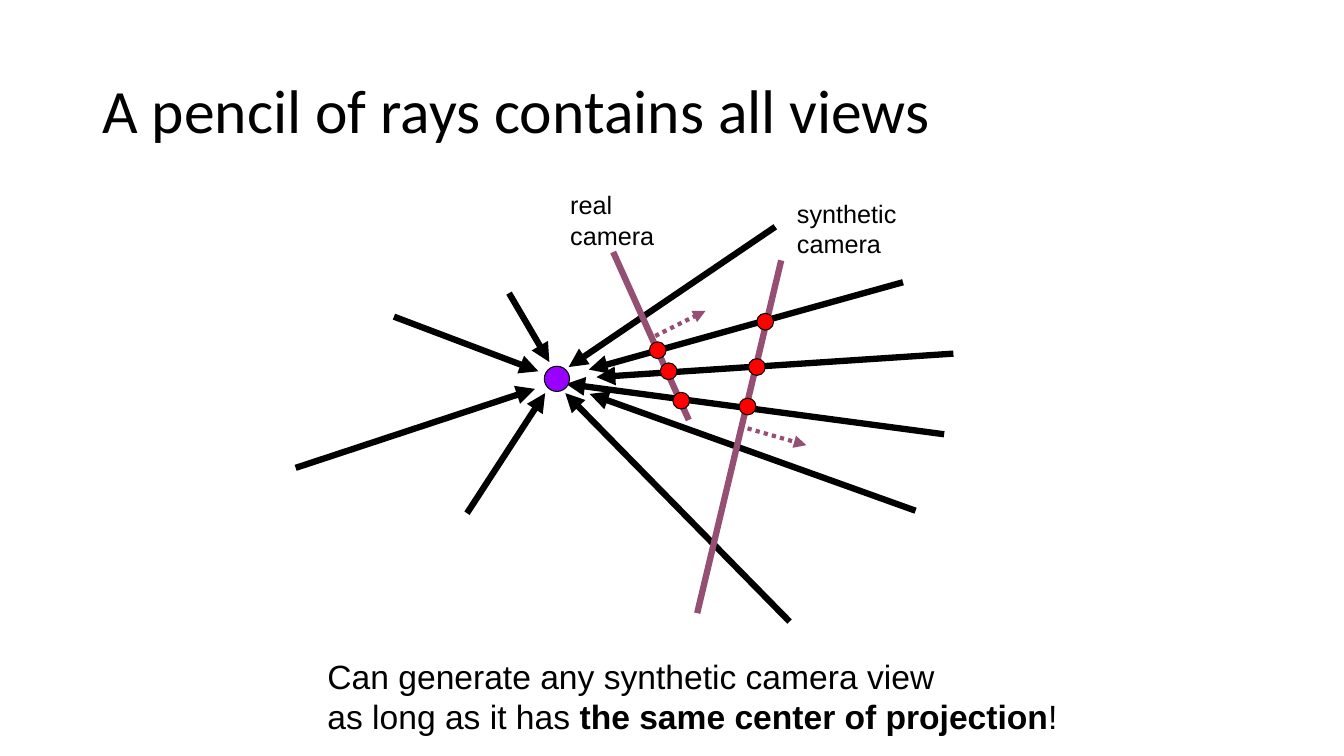
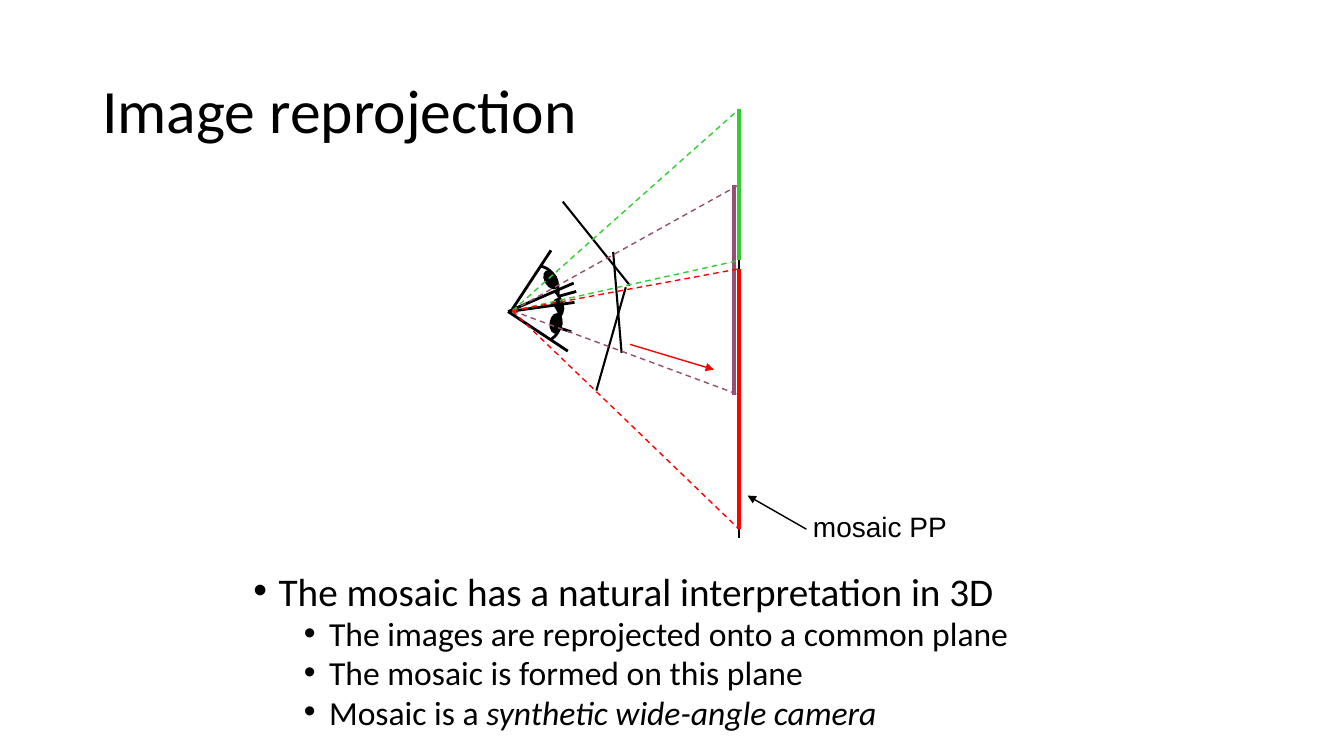
from dataclasses import dataclass

from lxml import etree
from pptx import Presentation
from pptx.dml.color import RGBColor
from pptx.enum.dml import MSO_LINE
from pptx.enum.shapes import MSO_CONNECTOR, MSO_SHAPE
from pptx.enum.text import MSO_ANCHOR
from pptx.oxml.ns import qn
from pptx.util import Emu, Inches, Pt

STRAIGHT = MSO_CONNECTOR.STRAIGHT
ELLIPSE = MSO_SHAPE.OVAL
DASH = MSO_LINE.DASH
DOTS = MSO_LINE.ROUND_DOT
MIDDLE = MSO_ANCHOR.MIDDLE
TOP = MSO_ANCHOR.TOP

COLORS = {
    "ink": "000000",
    "paper": "FFFFFF",
    "center": "9900FF",
    "camera": "954F72",
    "red": "FF0000",
    "green": "33CC33",
}
HEADING_FONT = "Calibri"
LABEL_FONT = "Arial"
COLUMNS, ROWS = 160, 90
CELL = Inches(1) / 12


@dataclass
class Box:
    """An area of the slide grid; all values are columns and rows."""
    left: float
    top: float
    width: float
    height: float

    def at(self, point):
        """Turn a column and row of this box into a place on the slide."""
        column, row = point
        return (Emu(round((self.left + column) * CELL)),
                Emu(round((self.top + row) * CELL)))

    def inner(self, left, top, width, height):
        return Box(self.left + left, self.top + top, width, height)

    def frame(self):
        return (*self.at((0, 0)), Emu(round(self.width * CELL)),
                Emu(round(self.height * CELL)))


TITLE_BOX = Box(11, 4.8, 138, 17.4)
PENCIL_BOX = Box(35, 20, 80, 56)
CAPTION_BOX = Box(37.8, 77.5, 94, 10.9)
MOSAIC_BOX = Box(60, 12, 56, 54)
BULLETS_BOX = Box(29, 68, 102, 20)


def rgb(name):
    return RGBColor.from_string(COLORS[name])


def add_text(slide, box, paragraphs, size, font=LABEL_FONT, anchor=TOP,
             line_spacing=None):
    """Each paragraph is a string or a list of (text, format dict) runs."""
    frame = slide.shapes.add_textbox(*box.frame()).text_frame
    frame.word_wrap = True
    frame.vertical_anchor = anchor
    for index, content in enumerate(paragraphs):
        paragraph = frame.paragraphs[0] if index == 0 else frame.add_paragraph()
        if line_spacing:
            paragraph.line_spacing = line_spacing
        runs = [(content, {})] if isinstance(content, str) else content
        for text, style in runs:
            run = paragraph.add_run()
            run.text = text
            run.font.name = font
            run.font.size = Pt(size)
            run.font.color.rgb = rgb("ink")
            run.font.bold = style.get("bold")
            run.font.italic = style.get("italic")
    return frame


def add_bullet(paragraph, margin):
    properties = paragraph._p.get_or_add_pPr()
    properties.set("marL", str(Inches(margin)))
    properties.set("indent", str(-Inches(0.25)))
    etree.SubElement(properties, qn("a:buFont")).set("typeface", LABEL_FONT)
    etree.SubElement(properties, qn("a:buChar")).set("char", "•")


def add_line(slide, box, start, end, width, color="ink", dash=None, arrow=False):
    line = slide.shapes.add_connector(STRAIGHT, *box.at(start), *box.at(end))
    line.line.color.rgb = rgb(color)
    line.line.width = Pt(width)
    if dash:
        line.line.dash_style = dash
    if arrow:
        outline = line.line._get_or_add_ln()
        etree.SubElement(outline, qn("a:tailEnd")).set("type", "triangle")
    etree.SubElement(line._element.spPr, qn("a:effectLst"))


def add_ellipse(slide, box, center, size, color, line_width=0.75, rotation=0):
    column, row = center
    width, height = size
    spot = box.inner(column - width / 2, row - height / 2, width, height)
    ellipse = slide.shapes.add_shape(ELLIPSE, *spot.frame())
    ellipse.shadow.inherit = False
    ellipse.fill.solid()
    ellipse.fill.fore_color.rgb = rgb(color)
    ellipse.line.color.rgb = rgb("ink")
    ellipse.line.width = Pt(line_width)
    ellipse.rotation = rotation


def add_outline(slide, box, points, close):
    """A closed outline is filled white; an open one is a black stroke."""
    start, *rest = [box.at(point) for point in points]
    builder = slide.shapes.build_freeform(*start)
    builder.add_line_segments(rest, close=close)
    outline = builder.convert_to_shape()
    outline.shadow.inherit = False
    if close:
        outline.fill.solid()
        outline.fill.fore_color.rgb = rgb("paper")
        outline.line.fill.background()
    else:
        outline.fill.background()
        outline.line.color.rgb = rgb("ink")
        outline.line.width = Pt(2)


def bezier(controls, steps=16):
    """Points along a cubic curve with four control points."""
    points = []
    for step in range(steps + 1):
        t = step / steps
        weights = ((1 - t) ** 3, 3 * t * (1 - t) ** 2, 3 * t ** 2 * (1 - t), t ** 3)
        points.append(tuple(sum(w * c[axis] for w, c in zip(weights, controls))
                            for axis in (0, 1)))
    return points


def add_titled_slide(deck, title):
    slide = deck.slides.add_slide(deck.slide_layouts[6])
    add_text(slide, TITLE_BOX, [title], 44, font=HEADING_FONT, anchor=MIDDLE,
             line_spacing=0.9)
    return slide


def draw_camera(slide, box, plane, direction, label_at, label):
    add_line(slide, box, *plane, 4.5, "camera")
    add_line(slide, box, *direction, 3, "camera", dash=DOTS, arrow=True)
    add_text(slide, box.inner(*label_at, 16, 8.4), label, 18)


def draw_pencil(slide, box):
    """Rays that meet in one center, cut by a real and a synthetic camera."""
    rays = [
        ((72.5, 13.6), (35.1, 24)),
        ((25.6, 14.9), (30.4, 23.1)),
        ((11.9, 17.7), (29.1, 24.2)),
        ((77.4, 31.7), (32.4, 25.7)),
        ((20.6, 41.1), (29.9, 26.8)),
        ((74, 40.8), (35.2, 26.9)),
        ((57.3, 7), (32.7, 23.7)),
        ((78.5, 22.1), (36, 24.9)),
        ((59, 54), (32.3, 26.8)),
        ((0.2, 35.7), (28.7, 26.3)),
    ]
    crossings = [(43.3, 21.7), (44.6, 24.2), (46.1, 27.7),
                 (56.1, 18.3), (55.1, 23.7), (54, 28.4)]
    for source, tip in rays:
        add_line(slide, box, source, tip, 4.5, arrow=True)
    add_ellipse(slide, box, (31.3, 25.1), (3, 3), "center")
    draw_camera(slide, box, ((38, 10), (47, 30)), ((43, 20), (49, 17)),
                (31.7, 2), ["real", "camera"])
    draw_camera(slide, box, ((58, 11), (48, 53)), ((54, 31), (61, 33)),
                (58.7, 3), ["synthetic", "camera"])
    for crossing in crossings:
        add_ellipse(slide, box, crossing, (2, 2), "red")


def draw_eye(slide, box, apex, lids, arc, pupil, tilt):
    front = bezier(arc)
    add_outline(slide, box, [apex, *front], close=True)
    add_outline(slide, box, front, close=False)
    add_ellipse(slide, box, pupil, (1.4, 2.3), "ink", 1, tilt)
    for lid in lids:
        add_line(slide, box, apex, lid, 2)


def draw_mosaic(slide, box):
    """Three views from one viewpoint, projected onto the mosaic plane."""
    plane = 28
    viewpoint = (1, 25)
    image_planes = [((7, 12), (15, 22)), ((13, 18), (14, 30)),
                    ((11, 34.5), (14.5, 22.2))]
    eyes = [
        ((1, 24.8), [(5.6, 17.8), (8.6, 22.7)],
         [(4.4, 19.7), (5.9, 20), (6.7, 21.7), (6.4, 23.3)], (5.6, 21.3), 330),
        ((0.5, 25.1), [(8.3, 21.7), (8, 27.5)],
         [(6.1, 22.7), (7.2, 23.8), (7.1, 25.6), (5.9, 26.8)], (6.4, 24.7), 3),
        ((0.5, 25.1), [(7.6, 29.8), (8.4, 24)],
         [(5.6, 28.4), (7, 27.5), (7.1, 25.7), (6.1, 24.4)], (6.2, 26.5), 7),
    ]
    views = [("camera", 10, 35, 27.4), ("green", 1, 19, plane),
             ("red", 20, 51, plane)]

    add_line(slide, box, (plane, 1), (plane, 52), 1.5)
    add_text(slide, box.inner(35.6, 48.1, 20, 5.2), ["mosaic PP"], 20)
    add_line(slide, box, (36, 51), (29, 47), 1, arrow=True)
    for eye in eyes:
        draw_eye(slide, box, *eye)
    for ends in image_planes:
        add_line(slide, box, *ends, 1.5)
    for color, first, last, column in views:
        for row in (first, last):
            add_line(slide, box, viewpoint, (plane, row), 1, color, dash=DASH)
        add_line(slide, box, (column, first), (column, last), 3, color)
    add_line(slide, box, (15, 29), (25, 32), 1, "red", arrow=True)


def write_bullets(slide, box, heading, points):
    frame = add_text(slide, box, [heading, *points], 24, font=HEADING_FONT,
                     line_spacing=0.8)
    first, *rest = frame.paragraphs
    add_bullet(first, 0.25)
    first.runs[0].font.size = Pt(28)
    for paragraph in rest:
        paragraph.level = 1
        paragraph.space_before = Pt(5)
        add_bullet(paragraph, 0.75)


def build_pencil_slide(deck):
    slide = add_titled_slide(deck, "A pencil of rays contains all views")
    draw_pencil(slide, PENCIL_BOX)
    add_text(slide, CAPTION_BOX, [
        "Can generate any synthetic camera view",
        [("as long as it has ", {}),
         ("the same center of projection", {"bold": True}), ("!", {})],
    ], 24)


def build_mosaic_slide(deck):
    slide = add_titled_slide(deck, "Image reprojection")
    draw_mosaic(slide, MOSAIC_BOX)
    write_bullets(slide, BULLETS_BOX, "The mosaic has a natural interpretation in 3D", [
        "The images are reprojected onto a common plane",
        "The mosaic is formed on this plane",
        [("Mosaic is a ", {}), ("synthetic wide-angle camera", {"italic": True})],
    ])


def main():
    deck = Presentation()
    deck.slide_width = Emu(round(COLUMNS * CELL))
    deck.slide_height = Emu(round(ROWS * CELL))
    build_pencil_slide(deck)
    build_mosaic_slide(deck)
    deck.save("out.pptx")


if __name__ == "__main__":
    main()
